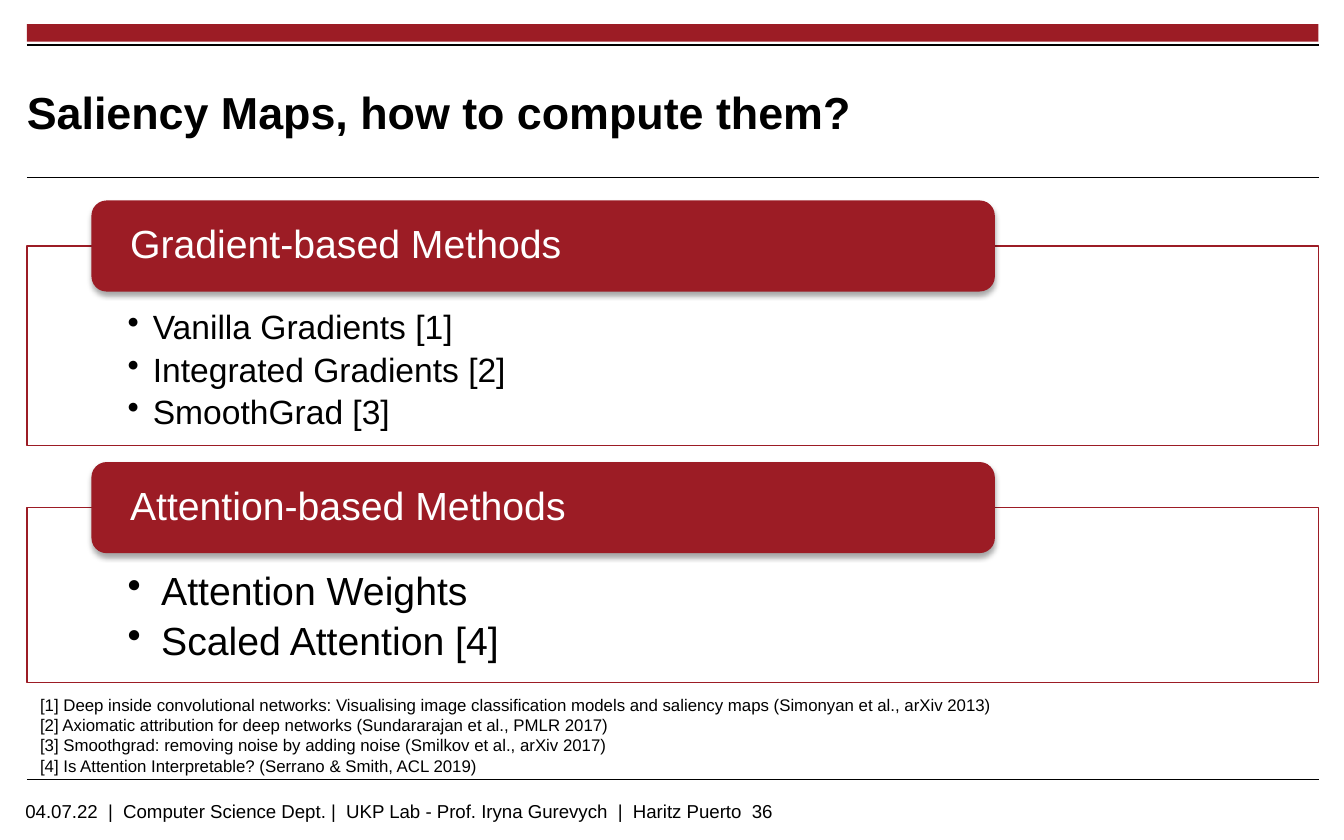
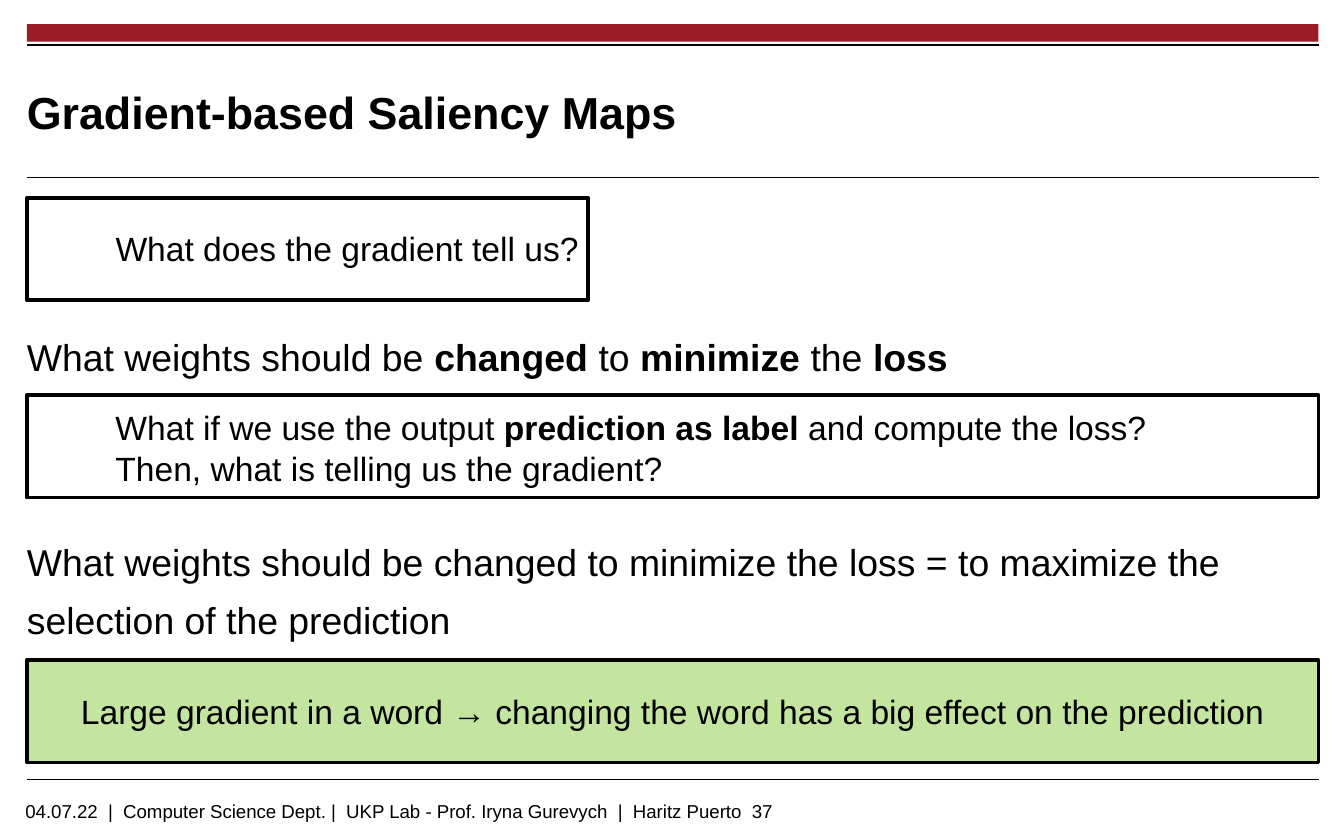
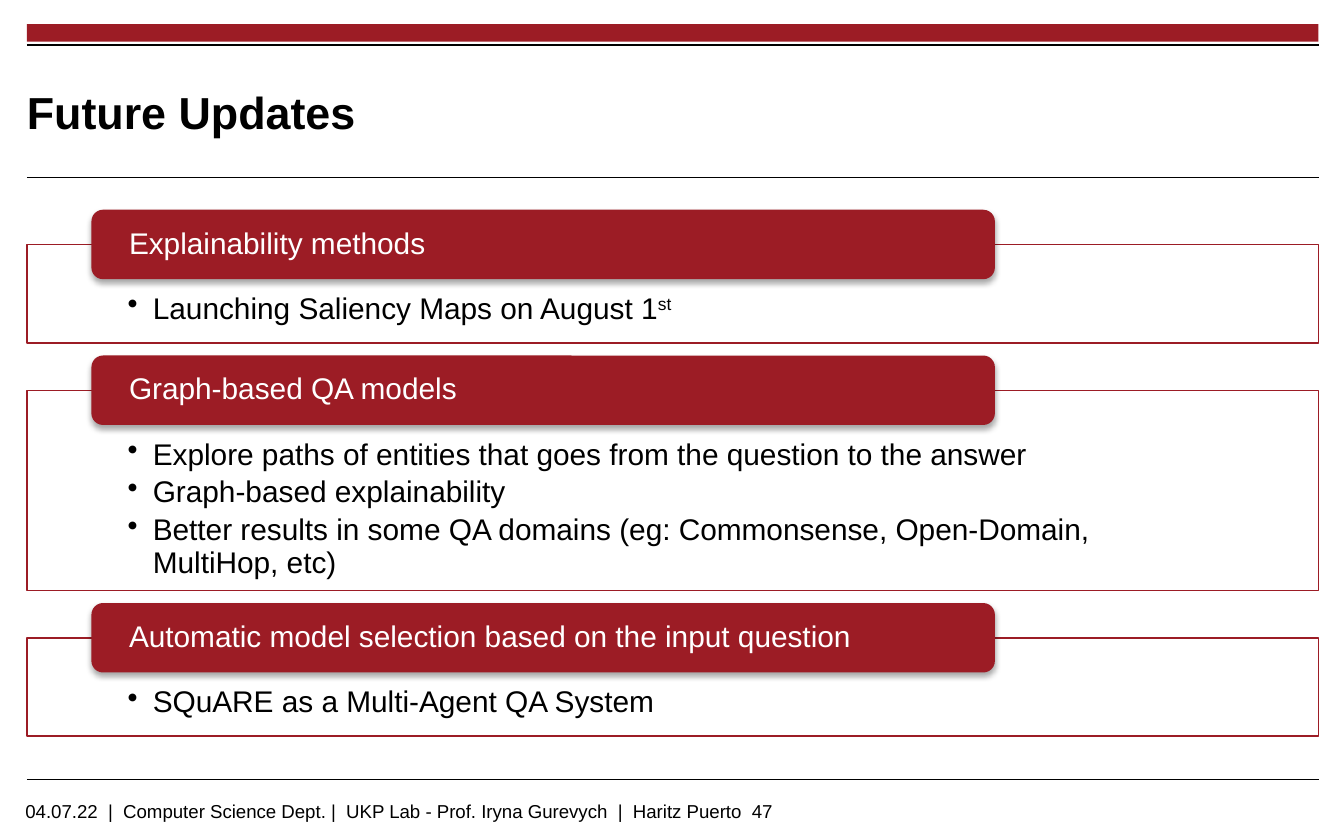
from dataclasses import dataclass

from lxml.etree import SubElement
from pptx import Presentation
from pptx.dml.color import RGBColor
from pptx.enum.shapes import MSO_CONNECTOR as Connector, MSO_SHAPE as Shape
from pptx.enum.text import MSO_ANCHOR as Anchor, MSO_AUTO_SIZE as AutoSize, PP_ALIGN as Align
from pptx.oxml.ns import qn
from pptx.util import Pt


@dataclass(frozen=True)
class Theme:
    font: str = "Arial"
    black: str = "000000"
    white: str = "FFFFFF"
    red: str = "9C1C25"
    green: str = "92D050"
    title: float = 24
    card: float = 21
    body: float = 20
    note: float = 18
    compact: float = 16
    footer: float = 10
    reference: float = 9
    left: float = 14.4
    width: float = 692


def make_bold(span):
    span.font.bold = True


def make_superscript(span):
    span.font._element.set("baseline", "30000")


def add_bullet(para, indent):
    para.level = 1
    properties = para._p.get_or_add_pPr()
    properties.set("marL", str(Pt(indent)))
    properties.set("indent", str(-Pt(indent)))
    SubElement(properties, qn("a:buChar"), char="•")


def add_soft_shadow(shape):
    effects = shape.element.spPr.find(qn("a:effectLst"))
    shadow = SubElement(effects, qn("a:outerShdw"), blurRad=str(Pt(3.1)),
                        dist=str(Pt(1.8)), dir="5400000", rotWithShape="0")
    color = SubElement(shadow, qn("a:srgbClr"), val="000000")
    SubElement(color, qn("a:alpha"), val="35000")


class Slides:
    def __init__(self, theme):
        self.theme = theme
        self.deck = Presentation()
        self.deck.slide_width, self.deck.slide_height = Pt(720), Pt(450)
        self.page = None

    def start(self, title, number):
        """Add a page with the shared band, rules, title and footer."""
        theme = self.theme
        self.page = self.deck.slides.add_slide(self.deck.slide_layouts[6])
        self.shape((theme.left, 13, theme.width, 9.4), theme.red)
        for top, weight in ((24.3, 1.2), (95, 0.6), (417.6, 0.6)):
            self.rule(top, weight)
        self.text((6.5, 424.8, 572.4, 15.1), [
            "04.07.22  |  Computer Science Dept. |  UKP Lab - Prof. Iryna Gurevych"
            f"  |  Haritz Puerto  {number}"], theme.footer)
        heading = self.text((theme.left, 32.4, 537, 54.7), [title], theme.title,
                            insets=(0, 0, 0, 0), anchor=Anchor.MIDDLE)
        heading.text_frame.paragraphs[0].runs[0].font.bold = True

    def rule(self, top, weight):
        left, right = self.theme.left, self.theme.left + self.theme.width
        line = self.page.shapes.add_connector(
            Connector.STRAIGHT, Pt(left), Pt(top), Pt(right), Pt(top))
        line.line.color.rgb = RGBColor.from_string(self.theme.black)
        line.line.width = Pt(weight)
        SubElement(line.element.spPr, qn("a:effectLst"))

    def shape(self, area, fill, outline=None, weight=0, kind=Shape.RECTANGLE, opacity=100):
        shape = self.page.shapes.add_shape(kind, *map(Pt, area))
        shape.shadow.inherit = False
        shape.fill.solid()
        shape.fill.fore_color.rgb = RGBColor.from_string(fill)
        if opacity < 100:
            color = shape.element.spPr.find(qn("a:solidFill")).find(qn("a:srgbClr"))
            SubElement(color, qn("a:alpha"), val=str(opacity * 1000))
        if outline:
            shape.line.color.rgb = RGBColor.from_string(outline)
            shape.line.width = Pt(weight)
        else:
            shape.line.fill.background()
        return shape

    def text(self, area, lines, size, **style):
        box = self.page.shapes.add_textbox(*map(Pt, area))
        self.set_lines(box, lines, size, **style)
        return box

    def set_lines(self, box, lines, size, color=None, insets=(7.2, 3.6, 7.2, 3.6),
                  anchor=Anchor.TOP, align=Align.LEFT, wrap=True, grow=False,
                  spacing=None, after=None, bullet=None, emphasis=make_bold):
        """Fill a box; in a line given as a tuple, every second span is emphasised."""
        frame = box.text_frame
        frame.word_wrap = wrap
        frame.auto_size = AutoSize.SHAPE_TO_FIT_TEXT if grow else AutoSize.NONE
        frame.vertical_anchor = anchor
        (frame.margin_left, frame.margin_top,
         frame.margin_right, frame.margin_bottom) = map(Pt, insets)
        for index, line in enumerate(lines):
            para = frame.add_paragraph() if index else frame.paragraphs[0]
            para.alignment = align
            if bullet:
                add_bullet(para, bullet)
            if spacing:
                para.line_spacing = spacing
            if after:
                para.space_after = Pt(after)
            para.font.size = Pt(size)
            for position, words in enumerate((line,) if isinstance(line, str) else line):
                span = para.add_run()
                span.text = words
                span.font.name = self.theme.font
                span.font.size = Pt(size)
                span.font.color.rgb = RGBColor.from_string(color or self.theme.black)
                if position % 2:
                    emphasis(span)

    def cards(self, top, size, cards):
        """Stack framed bullet lists, each with a tab centred on its upper edge."""
        theme = self.theme
        tab_height, gap = 2.325 * size, 0.425 * size
        for heading, bullets, bullet_size, height in cards:
            frame_top = top + tab_height / 2
            frame = self.shape((theme.left, frame_top, theme.width, height),
                               theme.white, theme.red, 0.75, opacity=90)
            self.set_lines(frame, bullets, bullet_size, insets=(54, 1.64 * size, 54, 9),
                           spacing=0.9, after=0.19 * bullet_size,
                           bullet=18 if bullet_size > 20 else 13.5,
                           emphasis=make_superscript)
            tab = self.shape((49, top, 484, tab_height), theme.red,
                             kind=Shape.ROUNDED_RECTANGLE)
            add_soft_shadow(tab)
            self.set_lines(tab, [heading], size, theme.white, (18.3, 0, 18.3, 0),
                           Anchor.MIDDLE, spacing=0.9)
            top = frame_top + height + gap

    def panel(self, top, width, fill, opacity=100):
        return self.shape((self.theme.left, top, width, 54.9), fill,
                          self.theme.black, 2, opacity=opacity)

    def statement(self, top, height, line):
        self.text((self.theme.left, top, self.theme.width, height), [line],
                  self.theme.body, insets=(0, 5.6, 0, 3.6), spacing=1.3, after=2.3)


def saliency_methods(slides):
    theme = slides.theme
    slides.start("Saliency Maps, how to compute them?", 36)
    slides.cards(107.4, theme.card, [
        ("Gradient-based Methods",
         ["Vanilla Gradients [1]", "Integrated Gradients [2]", "SmoothGrad [3]"],
         theme.note, 106.8),
        ("Attention-based Methods",
         ["Attention Weights", "Scaled Attention [4]"], theme.card, 93.7),
    ])
    slides.text((theme.left, 368.6, 528.5, 51), [
        "[1] Deep inside convolutional networks: Visualising image classification models "
        "and saliency maps (Simonyan et al., arXiv 2013)",
        "[2] Axiomatic attribution for deep networks (Sundararajan et al., PMLR 2017)",
        "[3] Smoothgrad: removing noise by adding noise (Smilkov et al., arXiv 2017)",
        "[4] Is Attention Interpretable? (Serrano & Smith, ACL 2019)",
    ], theme.reference, wrap=False, grow=True)


def gradient_maps(slides):
    theme = slides.theme
    slides.start("Gradient-based Saliency Maps", 37)
    slides.statement(166.3, 45.4, ("What weights should be ", "changed", " to ",
                                   "minimize", " the ", "loss"))
    slides.panel(106, 300.5, theme.white)
    slides.statement(275.8, 72, "What weights should be changed to minimize the loss = "
                                "to maximize the selection of the prediction")
    slides.panel(211.7, theme.width, theme.white)
    conclusion = slides.panel(353.6, theme.width, theme.green, opacity=54)
    slides.set_lines(conclusion, ["Large gradient in a word → changing the word has a big "
                                  "effect on the prediction"],
                     theme.note, anchor=Anchor.MIDDLE, align=Align.CENTER)
    slides.text((54.8, 214.6, 638.6, 51), [
        ("What if we use the output ", "prediction as label", " and compute the loss?"),
        "Then, what is telling us the gradient?"], theme.note, grow=True)
    slides.text((54.8, 118.8, 265, 29), ["What does the gradient tell us?"],
                theme.note, wrap=False, grow=True)


def future_updates(slides):
    size = slides.theme.compact
    slides.start("Future Updates", 47)
    slides.cards(112.4, size, [
        ("Explainability methods",
         [("Launching Saliency Maps on August 1", "st")], size, 52.7),
        ("Graph-based QA models",
         ["Explore paths of entities that goes from the question to the answer",
          "Graph-based explainability",
          "Better results in some QA domains (eg: Commonsense, Open-Domain, MultiHop, etc)"],
         size, 107.2),
        ("Automatic model selection based on the input question",
         ["SQuARE as a Multi-Agent QA System"], size, 52.7),
    ])


def main():
    slides = Slides(Theme())
    saliency_methods(slides)
    gradient_maps(slides)
    future_updates(slides)
    slides.deck.save("out.pptx")


if __name__ == "__main__":
    main()
